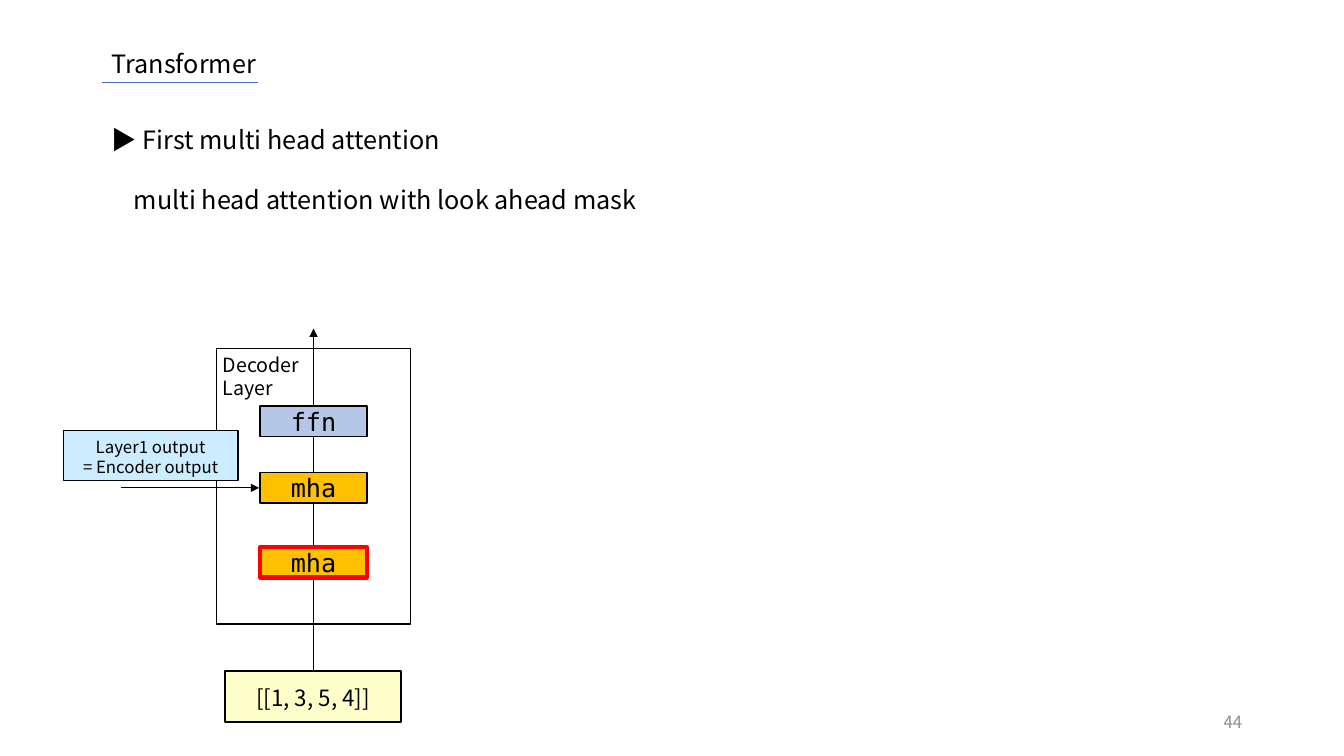
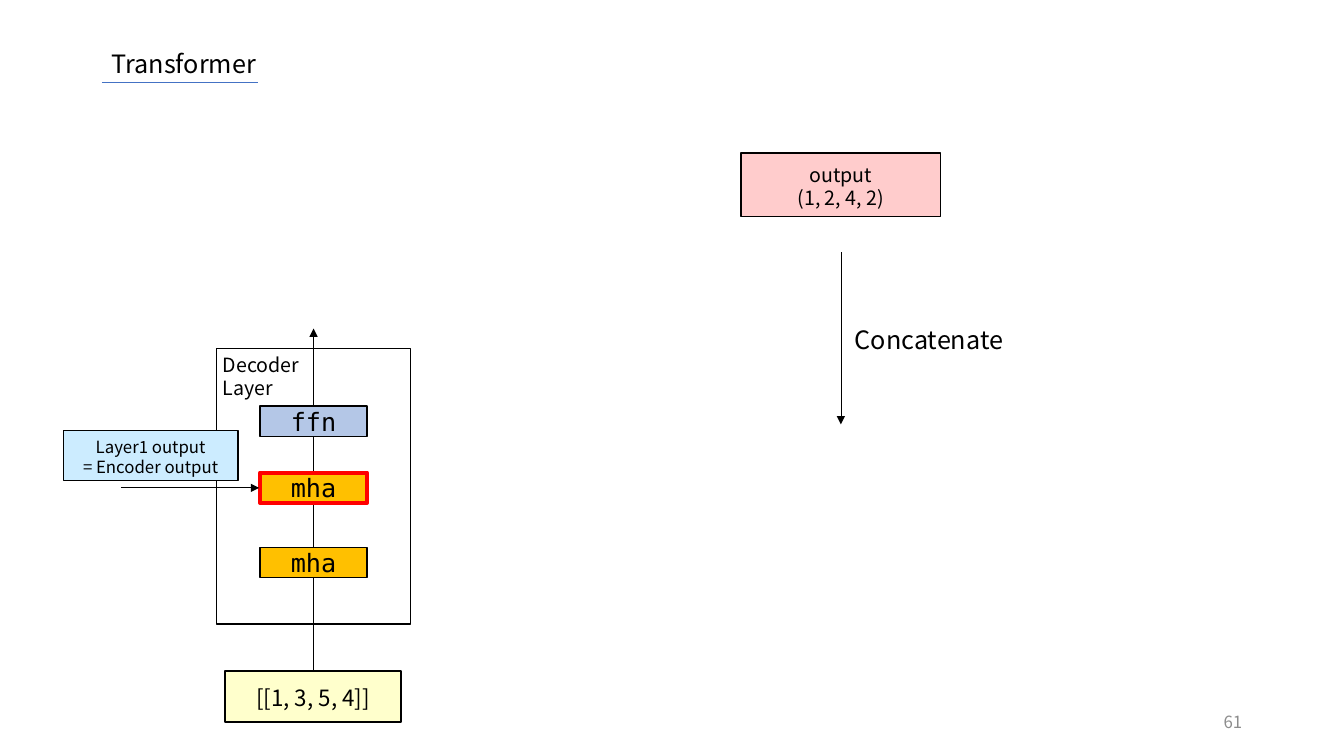
from pptx import Presentation
from pptx.dml.color import RGBColor
from pptx.enum.shapes import MSO_CONNECTOR, MSO_SHAPE
from pptx.enum.text import MSO_ANCHOR, PP_ALIGN
from pptx.oxml.ns import qn
from pptx.util import Pt
from lxml import etree

PX = 9144  # 100 px to the inch
SANS, MONO = "Noto Sans CJK KR", "DejaVu Sans Mono"
BLACK, WHITE, RED, BLUE, GREY = "000000", "FFFFFF", "FF0000", "4472C4", "8C8C8C"
ORANGE, PERIWINKLE, SKY, CREAM, PINK = "FFC000", "B4C7E7", "CCECFF", "FFFFCC", "FFCCCC"
RECTANGLE, STRAIGHT = MSO_SHAPE.RECTANGLE, MSO_CONNECTOR.STRAIGHT
TOP, MIDDLE = MSO_ANCHOR.TOP, MSO_ANCHOR.MIDDLE
LEFT, CENTER, RIGHT = PP_ALIGN.LEFT, PP_ALIGN.CENTER, PP_ALIGN.RIGHT


def rgb(color):
    return RGBColor.from_string(color)


def add_block(slide, at, text="", size=18, fill=None, outline=BLACK, weight=1,
              font=SANS, color=BLACK, align=CENTER, anchor=MIDDLE):
    """Add a rectangle when a fill is given, otherwise a text box; return its paragraphs."""
    place = [n * PX for n in at]
    if fill:
        block = slide.shapes.add_shape(RECTANGLE, *place)
        block.shadow.inherit = False
        block.fill.solid()
        block.fill.fore_color.rgb = rgb(fill)
        block.line.color.rgb = rgb(outline)
        block.line.width = Pt(weight)
    else:
        block = slide.shapes.add_textbox(*place)

    frame = block.text_frame
    frame_format = {
        "text": text, "word_wrap": True, "vertical_anchor": anchor,
        "margin_left": 10 * PX, "margin_right": 10 * PX,
        "margin_top": (7 if anchor == TOP else 2 if font == SANS else 0) * PX,
        "margin_bottom": 0,
    }
    for key, value in frame_format.items():
        setattr(frame, key, value)
    for paragraph in frame.paragraphs:
        paragraph.alignment = align
        if font == SANS:
            paragraph.line_spacing = Pt(size * 1.2)
        for run in paragraph.runs:
            for key, value in {"name": font, "size": Pt(size)}.items():
                setattr(run.font, key, value)
            run.font.color.rgb = rgb(color)
            etree.SubElement(run.font._element, qn("a:ea"), typeface=font)
    return frame.paragraphs


def add_line(slide, start, end, color=BLACK, arrow=True):
    line = slide.shapes.add_connector(STRAIGHT, *[n * PX for n in start + end])
    line.line.color.rgb = rgb(color)
    line.line.width = Pt(0.5)
    if arrow:
        etree.SubElement(line.line._get_or_add_ln(), qn("a:tailEnd"), type="triangle")
    etree.SubElement(line._element.spPr, qn("a:effectLst"))


deck = Presentation()
deck.slide_width, deck.slide_height = 1333 * PX, 750 * PX

label = {"align": LEFT, "anchor": TOP}
decoder_steps = [("ffn", 403, PERIWINKLE), ("mha", 469, ORANGE), ("mha", 543, ORANGE)]

# Page number and the top of the highlighted decoder step
slides = []
for page, highlighted in [("44", 543), ("61", 469)]:
    slide = deck.slides.add_slide(deck.slide_layouts[6])
    slides.append(slide)
    add_block(slide, (942, 695, 300, 40), page, 12, color=GREY, align=RIGHT)
    add_block(slide, (101, 41, 456, 40), "Transformer", **label)
    add_line(slide, (101, 82), (256, 82), BLUE, arrow=False)

    add_block(slide, (215, 346, 192, 273), fill=WHITE)
    add_line(slide, (311, 668), (311, 326))
    for step, top, fill in decoder_steps:
        outline, weight = (RED, 3) if top == highlighted else (BLACK, 1)
        add_block(slide, (258, top, 106, 30), step, 18, fill, outline, weight, MONO)
    add_line(slide, (120, 484), (257, 484))
    add_block(slide, (63, 427, 173, 50), "Layer1 output\n= Encoder output", 12, SKY)
    add_block(slide, (223, 666, 175, 50), "[[1, 3, 5, 4]]", 16, CREAM, weight=1.5)
    add_block(slide, (211, 343, 142, 57), "Decoder\nLayer", 14, **label)

attention_slide, concatenate_slide = slides

heading, detail = add_block(
    attention_slide, (101, 116, 565, 101),
    "▶ First multi head attention\nmulti head attention with look ahead mask", **label)
heading.space_after = Pt(21.6)
detail._p.get_or_add_pPr().set("marL", str(22 * PX))

add_block(concatenate_slide, (735, 152, 198, 63), "output\n(1, 2, 4, 2)", 14, PINK)
add_line(concatenate_slide, (834, 250), (834, 421))
add_block(concatenate_slide, (838, 315, 208, 40), "Concatenate", **label)

deck.save("out.pptx")
